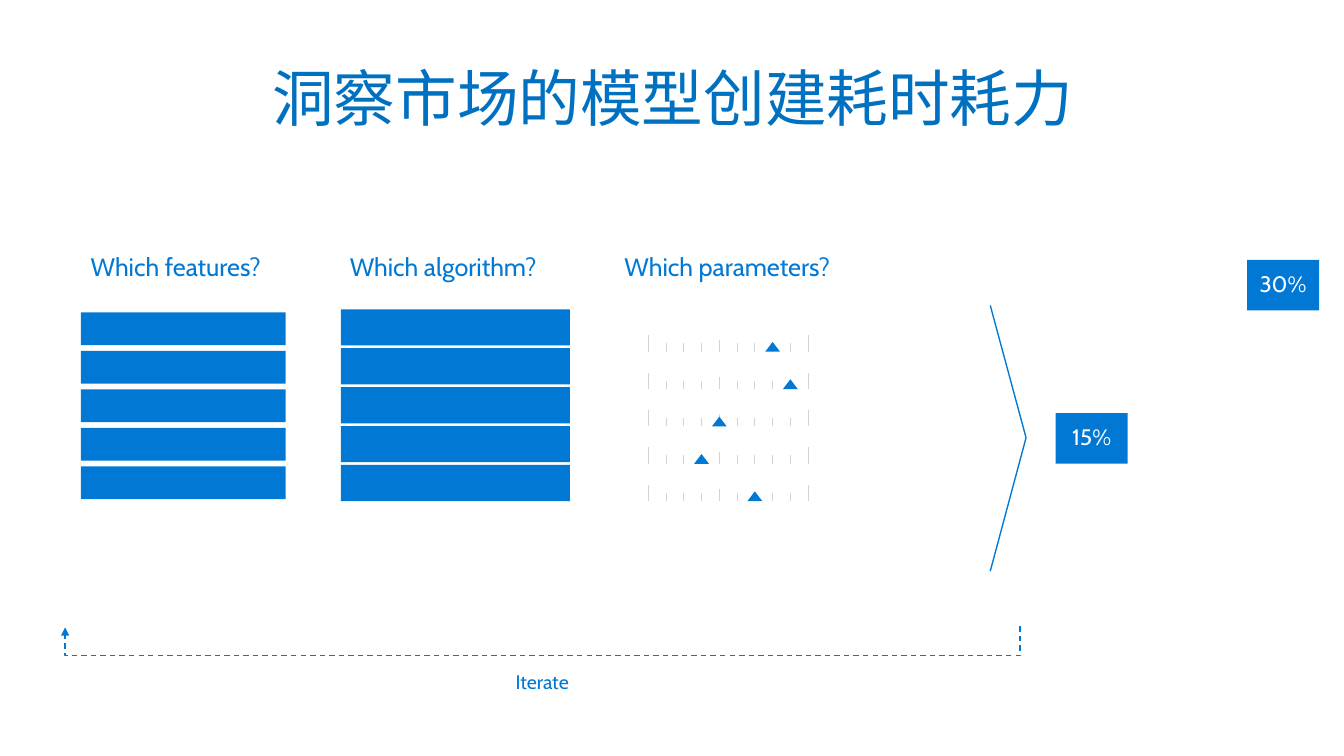
from dataclasses import dataclass

from lxml import etree
from pptx import Presentation
from pptx.dml.color import RGBColor
from pptx.enum.dml import MSO_LINE
from pptx.enum.shapes import MSO_CONNECTOR, MSO_SHAPE
from pptx.enum.text import MSO_ANCHOR, PP_ALIGN
from pptx.oxml.ns import qn
from pptx.util import Cm, Pt

BLUE = RGBColor(0x00, 0x78, 0xD4)
TITLE_BLUE = RGBColor(0x00, 0x70, 0xC0)
GREY = RGBColor(0xD3, 0xD3, 0xD3)
WHITE = RGBColor(0xFF, 0xFF, 0xFF)
LATIN_FONT = "Cabin"
CHINESE_FONT = "Noto Sans CJK SC"
RECTANGLE = MSO_SHAPE.RECTANGLE
TRIANGLE = MSO_SHAPE.ISOSCELES_TRIANGLE
STRAIGHT = MSO_CONNECTOR.STRAIGHT
ELBOW = MSO_CONNECTOR.ELBOW
DASH = MSO_LINE.DASH
LEFT = PP_ALIGN.LEFT
CENTER = PP_ALIGN.CENTER
MIDDLE = MSO_ANCHOR.MIDDLE

ROWS = 5
TICK_GAPS = 9
SCALE_LEFT = 16.66
SCALE_WIDTH = 4.11
FIRST_BASELINE = 9.04
SCALE_PITCH = 0.96
MARKER_TICKS = (7, 8, 4, 3, 6)
MARKER_WIDTH = 0.38
MARKER_HEIGHT = 0.25


@dataclass(frozen=True)
class Area:
    left: float
    top: float
    width: float
    height: float


@dataclass(frozen=True)
class Label:
    text: str
    area: Area
    size: float
    align: PP_ALIGN = LEFT
    color: RGBColor = BLUE
    font: str = LATIN_FONT


@dataclass(frozen=True)
class BarStack:
    first: Area
    pitch: float


TITLE = Label("洞察市场的模型创建耗时耗力", Area(1.68, 1.3, 31.22, 3.15), 44.9,
              CENTER, TITLE_BLUE, CHINESE_FONT)
CAPTIONS = (
    Label("Which features?", Area(2.08, 6.43, 5.87, 0.99), 18.4),
    Label("Which algorithm?", Area(8.74, 6.43, 6.27, 0.99), 18.4),
    Label("Which parameters?", Area(15.8, 6.43, 6.83, 0.99), 18.4),
    Label("Iterate", Area(12.5, 17.17, 2.87, 0.81), 14.3, CENTER),
)
SCORES = (
    Label("30%", Area(32.05, 6.68, 1.85, 1.3), 16.3, CENTER, WHITE),
    Label("15%", Area(27.13, 10.62, 1.85, 1.3), 16.3, CENTER, WHITE),
)
STACKS = (
    BarStack(Area(2.08, 8.03, 5.26, 0.84), 0.99),
    BarStack(Area(8.76, 7.95, 5.89, 0.93), 1.0),
)


def lengths(area: Area) -> tuple:
    return Cm(area.left), Cm(area.top), Cm(area.width), Cm(area.height)


def add_block(page, kind, area: Area):
    block = page.shapes.add_shape(kind, *lengths(area))
    block.shadow.inherit = False
    block.fill.solid()
    block.fill.fore_color.rgb = BLUE
    block.line.fill.background()
    return block


def write_label(box, label: Label) -> None:
    frame = box.text_frame
    frame.word_wrap = True
    frame.text = label.text
    paragraph = frame.paragraphs[0]
    paragraph.alignment = label.align
    paragraph.line_spacing = 0.9
    span = paragraph.runs[0]
    span.font.size = Pt(label.size)
    span.font.name = label.font
    span.font.color.rgb = label.color
    if label.font == CHINESE_FONT:
        properties = span.font._element
        etree.SubElement(properties, qn("a:ea"), typeface=label.font)


def add_caption(page, label: Label):
    box = page.shapes.add_textbox(*lengths(label.area))
    write_label(box, label)
    return box


def add_title(page) -> None:
    frame = add_caption(page, TITLE).text_frame
    frame.margin_left = frame.margin_right = frame.margin_bottom = 0
    frame.margin_top = Cm(0.46)


def add_score(page, label: Label) -> None:
    box = add_block(page, RECTANGLE, label.area)
    box.text_frame.vertical_anchor = MIDDLE
    write_label(box, label)


def add_stack(page, stack: BarStack) -> None:
    bar = stack.first
    for row in range(ROWS):
        top = bar.top + row * stack.pitch
        add_block(page, RECTANGLE, Area(bar.left, top, bar.width, bar.height))


def add_line(page, kind, start: tuple, end: tuple, color: RGBColor, width: float):
    line = page.shapes.add_connector(kind, *map(Cm, start + end))
    line.line.color.rgb = color
    line.line.width = Pt(width)
    etree.SubElement(line._element.spPr, qn("a:effectLst"))
    return line


def tick_height(tick: int) -> float:
    if tick in (0, TICK_GAPS):
        return 0.42
    return 0.31 if tick == 4 else 0.22


def add_scale(page, row: int, marker_tick: int) -> None:
    baseline = FIRST_BASELINE + row * SCALE_PITCH
    step = SCALE_WIDTH / TICK_GAPS
    for tick in range(TICK_GAPS + 1):
        x = SCALE_LEFT + tick * step
        top = baseline - tick_height(tick)
        add_line(page, STRAIGHT, (x, baseline), (x, top), GREY, 0.75)
    marker_left = SCALE_LEFT + marker_tick * step - MARKER_WIDTH / 2
    add_block(page, TRIANGLE, Area(marker_left, baseline - MARKER_HEIGHT,
                                   MARKER_WIDTH, MARKER_HEIGHT))


def add_chevron(page) -> None:
    builder = page.shapes.build_freeform(Cm(25.45), Cm(7.85))
    builder.add_line_segments([(Cm(26.37), Cm(11.25)), (Cm(25.45), Cm(14.68))],
                              close=False)
    chevron = builder.convert_to_shape()
    chevron.shadow.inherit = False
    chevron.fill.background()
    chevron.line.color.rgb = BLUE
    chevron.line.width = Pt(1)


def add_iteration_arrow(page) -> None:
    arrow = add_line(page, ELBOW, (13.93, 3.84), (13.96, 28.38), BLUE, 1)
    arrow.line.dash_style = DASH
    properties = arrow._element.spPr
    properties.find(qn("a:xfrm")).set("rot", "5400000")
    adjustments = properties.find(qn("a:prstGeom")).find(qn("a:avLst"))
    etree.SubElement(adjustments, qn("a:gd"), name="adj1", fmla="val 2530000")
    etree.SubElement(properties.find(qn("a:ln")), qn("a:tailEnd"), type="triangle")


def main() -> None:
    deck = Presentation()
    deck.slide_width = Cm(34.54)
    deck.slide_height = Cm(19.43)
    page = deck.slides.add_slide(deck.slide_layouts[6])
    add_title(page)
    for caption in CAPTIONS:
        add_caption(page, caption)
    for stack in STACKS:
        add_stack(page, stack)
    for row, marker_tick in enumerate(MARKER_TICKS):
        add_scale(page, row, marker_tick)
    add_chevron(page)
    for score in SCORES:
        add_score(page, score)
    add_iteration_arrow(page)
    deck.save("out.pptx")


if __name__ == "__main__":
    main()
